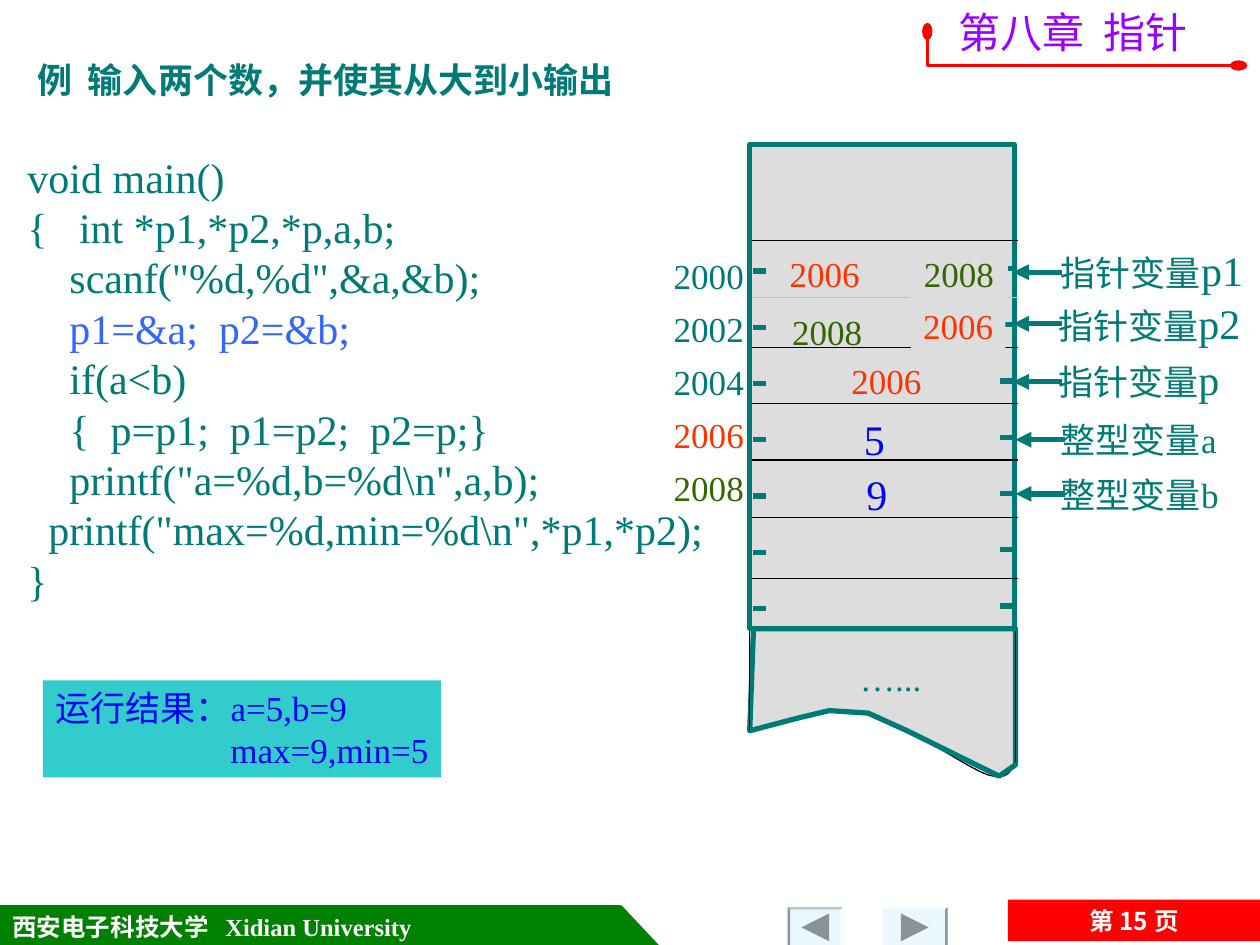
from lxml import etree
from pptx import Presentation
from pptx.dml.color import RGBColor as RGB
from pptx.enum.shapes import MSO_CONNECTOR as CONN, MSO_SHAPE as SHAPE
from pptx.enum.text import MSO_ANCHOR as ANCHOR, PP_ALIGN as ALIGN
from pptx.oxml.ns import qn
from pptx.util import Inches, Pt

THEME = {
    "teal": "007A77", "blue": "0000FF", "sky": "3366FF", "orange": "FF3300", "olive": "336600",
    "purple": "9900FF", "red": "FF0000", "green": "008000", "white": "FFFFFF", "black": "000000",
    "memory": "DDDDDD", "silver": "C0C0C0", "result": "33CCCC", "button": "EBF7FF", "arrow": "8A9299",
    "serif": "Times New Roman", "cjk": "Noto Sans CJK SC", "sans": "Arial",
    "big": 24, "mid": 20, "small": 14, "thick": 3, "rule": 1.5, "thin": 0.75,
}

TITLE = "例\t输入两个数，并使其从大到小输出"
CHAPTER = "第八章\t指针"
FOOTER = "西安电子科技大学\tXidian University"
PAGE = "第 15 页"
CODE = [
    ("void main()", "teal"),
    ("{   int *p1,*p2,*p,a,b;", "teal"),
    ('    scanf("%d,%d",&a,&b);', "teal"),
    ("    p1=&a;  p2=&b;", "sky"),
    ("    if(a<b)", "teal"),
    ("    {  p=p1;  p1=p2;  p2=p;}", "teal"),
    ('    printf("a=%d,b=%d\\n",a,b);', "teal"),
    ('  printf("max=%d,min=%d\\n",*p1,*p2);', "teal"),
    ("}", "teal"),
]
RESULT = ["运行结果：a=5,b=9", "max=9,min=5"]
ADDRESSES = [("2000", "teal"), ("2002", "teal"), ("2004", "teal"), ("2006", "orange"), ("2008", "olive")]
VARIABLES = [
    ("指针变量", "p1", "big", 8.32, 1.89, 1.71, 2.16, 8.04),
    ("指针变量", "p2", "big", 8.3, 2.31, 1.71, 2.57, 8.04),
    ("指针变量", "p", "big", 8.3, 2.76, 1.55, 3.03, 8.04),
    ("整型变量", "a", "mid", 8.32, 3.27, 1.51, 3.49, 8.06),
    ("整型变量", "b", "mid", 8.32, 3.71, 1.52, 3.92, 8.06),
]
VALUES = [
    ("5", "big", "blue", 6.76, 3.23, 0.36, 0.5, None),
    ("2006", "mid", "orange", 6.17, 1.95, 0.75, 0.44, None),
    ("9", "big", "blue", 6.78, 3.67, 0.36, 0.5, None),
    ("2008", "mid", "olive", 6.19, 2.41, 0.75, 0.44, None),
    ("2006", "mid", "orange", 6.66, 2.8, 0.75, 0.44, None),
    ("2008", "mid", "olive", 7.22, 1.95, 0.78, 0.44, "memory"),
    ("2006", "mid", "orange", 7.23, 2.36, 0.75, 0.44, "memory"),
]
DIVIDERS = [(1.91, "black"), (2.36, "silver"), (2.76, "black"), (3.2, "black"),
            (3.65, "black"), (4.11, "black"), (4.59, "black")]
TORN = [(5.98, 4.99), (8.06, 4.99), (8.06, 6.07), (7.93, 6.16), (7.2, 5.8),
        (6.89, 5.66), (6.58, 5.64), (6.33, 5.7), (5.95, 5.8)]
CURVE = [[(5.95, 5.81), (6.23, 5.7), (6.51, 5.59), (6.82, 5.65)],
         [(6.82, 5.65), (7.14, 5.7), (7.64, 6.08), (7.84, 6.15)],
         [(7.84, 6.15), (8.05, 6.21), (8.02, 6.06), (8.06, 6.04)]]
CHAPTER_RULE = [(7.36, 0.25), (7.36, 0.52), (9.83, 0.52)]
BUTTONS = [(7, 0.52, 0, 90), (6.25, 0.44, 180, 270)]


def color(name):
    return RGB.from_string(THEME[name])


def paint(s, fill=None, line=None, width="thin"):
    s.shadow.inherit = False
    if fill:
        s.fill.solid()
        s.fill.fore_color.rgb = color(fill)
    else:
        s.fill.background()
    if line:
        s.line.color.rgb = color(line)
        s.line.width = Pt(THEME[width])
    else:
        s.line.fill.background()
    return s


def add_ends(s, length="med", **ends):
    ln = s.line._get_or_add_ln()
    for side, kind in ends.items():
        etree.SubElement(ln, qn(f"a:{side}End"), type=kind, len=length)


def add_shape(slide, kind, box, **look):
    return paint(slide.shapes.add_shape(kind, *map(Inches, box)), **look)


def add_line(slide, x1, y1, x2, y2, line, width="thin"):
    s = slide.shapes.add_connector(CONN.STRAIGHT, *map(Inches, (x1, y1, x2, y2)))
    s.line.color.rgb = color(line)
    s.line.width = Pt(THEME[width])
    etree.SubElement(s._element.spPr, qn("a:effectLst"))
    return s


def add_path(slide, points, closed, **look):
    points = [(Inches(x), Inches(y)) for x, y in points]
    builder = slide.shapes.build_freeform(*points[0])
    builder.add_line_segments(points[1:], close=closed)
    return paint(builder.convert_to_shape(), **look)


def add_run(p, text, size, name, font="serif", bold=False):
    r = p.add_run()
    r.text = text
    for key, value in {"size": Pt(THEME[size]), "name": THEME[font], "bold": bold}.items():
        setattr(r.font, key, value)
    r.font.color.rgb = color(name)
    etree.SubElement(r._r.get_or_add_rPr(), qn("a:ea"), typeface=THEME["cjk"])


def add_text(slide, box, paragraphs, align=ALIGN.LEFT, anchor=ANCHOR.TOP, wrap=False,
             fill=None, line=None, tab=None, indent=None):
    if fill:
        s = add_shape(slide, SHAPE.RECTANGLE, box, fill=fill, line=line)
    else:
        s = slide.shapes.add_textbox(*map(Inches, box))
    tf = s.text_frame
    side = Inches(0.02 if align == ALIGN.CENTER else 0.1)
    for key, value in {"word_wrap": wrap, "vertical_anchor": anchor,
                       "margin_left": side, "margin_right": side}.items():
        setattr(tf, key, value)
    for i, runs in enumerate(paragraphs):
        p = tf.add_paragraph() if i else tf.paragraphs[0]
        p.alignment = align
        pPr = p._p.get_or_add_pPr()
        if tab:
            tabs = etree.SubElement(pPr, qn("a:tabLst"))
            etree.SubElement(tabs, qn("a:tab"), pos=str(Inches(tab)), algn="l")
        if indent and i:
            pPr.set("marL", str(Inches(indent)))
        for run in runs:
            add_run(p, *run)


def bezier(a, b, c, d, steps=10):
    for t in (i / steps for i in range(steps + 1)):
        u = 1 - t
        yield tuple(u**3 * a[k] + 3 * u * u * t * b[k] + 3 * u * t * t * c[k] + t**3 * d[k] for k in (0, 1))


def add_frame(slide):
    add_text(slide, (0, 7.19, 4.92, 0.33), [[(FOOTER, "small", "white", "serif", True)]],
             anchor=ANCHOR.MIDDLE, wrap=True, fill="green", line="green", tab=1.69)
    add_shape(slide, SHAPE.RIGHT_TRIANGLE, (4.93, 7.19, 0.31, 0.33), fill="green", line="green")
    for left, width, turn, point in BUTTONS:
        s = add_shape(slide, SHAPE.BEVEL, (left, 7.2, width, 0.33), fill="button")
        s.adjustments[0] = 0.06
        s.rotation = turn
        s = add_shape(slide, SHAPE.ISOSCELES_TRIANGLE, (left + width / 2 - 0.11, 7.25, 0.22, 0.22), fill="arrow")
        s.rotation = point
    add_text(slide, (8, 7.14, 2, 0.33), [[(PAGE, "small", "white", "cjk", True)]],
             ALIGN.CENTER, ANCHOR.MIDDLE, wrap=True, fill="red")
    add_text(slide, (7.51, 0, 2.2, 0.5), [[(CHAPTER, "big", "purple", "cjk")]], wrap=True, tab=1.15)
    s = add_path(slide, CHAPTER_RULE, False, line="red", width="rule")
    add_ends(s, "lg", head="oval", tail="oval")


def add_memory(slide):
    add_path(slide, [pt for part in CURVE for pt in bezier(*part)], False, line="black")
    add_path(slide, TORN, True, fill="memory", line="teal", width="thick")
    add_shape(slide, SHAPE.RECTANGLE, (5.95, 1.15, 2.1, 3.84), fill="memory", line="teal", width="thick")
    for y, name in DIVIDERS:
        add_line(slide, 5.97, y, 8.08, y, name)
    for x, bottom in ((5.95, 5.8), (8.06, 6.05)):
        add_line(slide, x, 5.01, x, bottom, "black")
    add_text(slide, (6.73, 5.16, 0.68, 0.44), [[("…...", "mid", "teal")]], ALIGN.CENTER, ANCHOR.MIDDLE)
    for i, (text, name) in enumerate(ADDRESSES):
        add_text(slide, (5.25, 1.97 + 0.42 * i, 0.75, 0.44), [[(text, "mid", name)]], ALIGN.CENTER, ANCHOR.MIDDLE)
    for x, top in ((5.98, 2.15), (7.94, 2.13)):
        for y in (top + 2.68 / 6 * i for i in range(7)):
            add_line(slide, x, y, x + 0.1, y, "teal", "thick")
    for label, name, size, left, top, width, y, tip in VARIABLES:
        add_ends(add_line(slide, tip + 0.39, y, tip, y, "teal", "thick"), tail="triangle")
        add_text(slide, (left, top, width, 0.5 if size == "big" else 0.44),
                 [[(label, "mid", "teal"), (name, size, "teal")]])
    for text, size, name, *box, fill in VALUES:
        add_text(slide, box, [[(text, size, name)]], ALIGN.CENTER, ANCHOR.MIDDLE, fill=fill)


def main():
    """Build the slide on sorting two numbers through pointers."""
    prs = Presentation()
    prs.slide_width, prs.slide_height = Inches(10), Inches(7.5)
    slide = prs.slides.add_slide(prs.slide_layouts[6])
    add_frame(slide)
    add_text(slide, (0.12, 1.15, 5.56, 3.7), [[(text, "big", name)] for text, name in CODE], fill="white")
    add_text(slide, (0.34, 5.4, 3.16, 0.77), [[(text, "mid", "blue")] for text in RESULT],
             fill="result", indent=1.39)
    add_memory(slide)
    add_text(slide, (0.2, 0.28, 8.5, 0.7), [[(TITLE, "mid", "teal", "sans", True)]],
             anchor=ANCHOR.MIDDLE, wrap=True, tab=0.4)
    prs.save("out.pptx")


if __name__ == "__main__":
    main()
